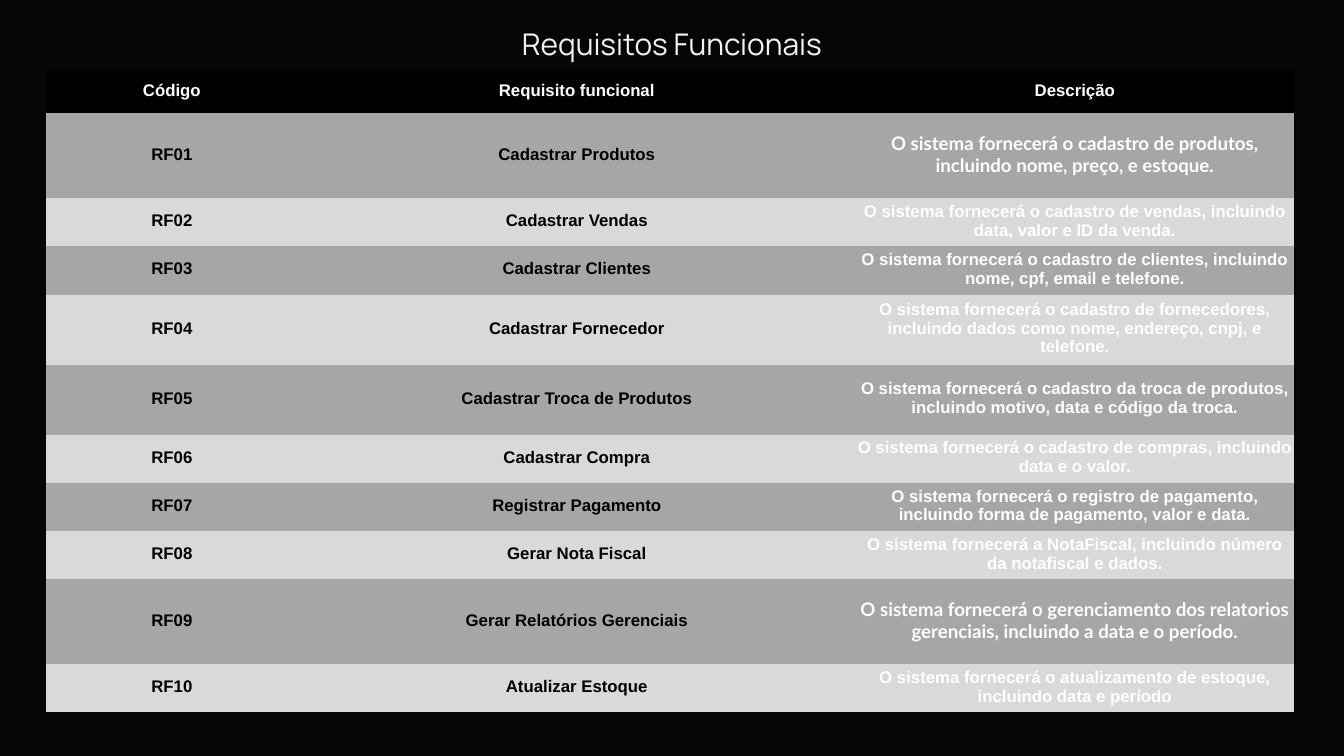
from dataclasses import dataclass
from typing import NamedTuple

from pptx import Presentation
from pptx.dml.color import RGBColor
from pptx.enum.shapes import MSO_SHAPE
from pptx.enum.text import MSO_ANCHOR, PP_ALIGN
from pptx.util import Emu, Pt

EMU_PER_PX = 9525


def px(length: int) -> Emu:
    return Emu(length * EMU_PER_PX)


class TextStyle(NamedTuple):
    font: str
    size: int
    color: str
    bold: bool = True


@dataclass(frozen=True)
class Theme:
    page: str = "000000"
    backdrop: str = "050505"
    header_fill: str = "000000"
    band_fills: tuple[str, str] = ("A6A6A6", "D9D9D9")
    title: TextStyle = TextStyle("Manrope", 32, "F2F2F3", False)
    title_leading: float = 55.6
    light: TextStyle = TextStyle("Arial", 18, "FFFFFF")
    dark: TextStyle = TextStyle("Arial", 18, "000000")
    large: TextStyle = TextStyle("Lato", 20, "FFFFFF")


THEME = Theme()


class Requirement(NamedTuple):
    name: str
    description: str
    height: int = 69
    description_style: TextStyle = THEME.light


SLIDE_WIDTH, SLIDE_HEIGHT = 1920, 1080
TABLE_LEFT, TABLE_TOP = 66, 101
COLUMN_WIDTHS = (359, 798, 625)
HEADER_HEIGHT, MEDIUM_ROW, TALL_ROW = 61, 100, 121
HEADINGS = ("Código", "Requisito funcional", "Descrição")

REQUIREMENTS = (
    Requirement("Cadastrar Produtos",
                "O sistema fornecerá o cadastro de produtos, incluindo nome, preço, e estoque.",
                TALL_ROW, THEME.large),
    Requirement("Cadastrar Vendas",
                "O sistema fornecerá o cadastro de vendas, incluindo data, valor e ID da venda."),
    Requirement("Cadastrar Clientes",
                "O sistema fornecerá o cadastro de clientes, incluindo nome, cpf, email e telefone."),
    Requirement("Cadastrar Fornecedor",
                "O sistema fornecerá o cadastro de fornecedores, incluindo dados como nome, "
                "endereço, cnpj, e telefone.", MEDIUM_ROW),
    Requirement("Cadastrar Troca de Produtos",
                "O sistema fornecerá o cadastro da troca de produtos, incluindo motivo, data e "
                "código da troca.", MEDIUM_ROW),
    Requirement("Cadastrar Compra",
                "O sistema fornecerá o cadastro de compras, incluindo data e o valor."),
    Requirement("Registrar Pagamento",
                "O sistema fornecerá o registro de pagamento, incluindo forma de pagamento, "
                "valor e data."),
    Requirement("Gerar Nota Fiscal",
                "O sistema fornecerá a NotaFiscal, incluindo número da notafiscal e dados."),
    Requirement("Gerar Relatórios Gerenciais",
                "O sistema fornecerá o gerenciamento dos relatorios gerenciais, incluindo a "
                "data e o período.", TALL_ROW, THEME.large),
    Requirement("Atualizar Estoque",
                "O sistema fornecerá o atualizamento de estoque, incluindo data e período"),
)


def paint(fill, color: str) -> None:
    fill.solid()
    fill.fore_color.rgb = RGBColor.from_string(color)


def write_centred(paragraph, text: str, style: TextStyle) -> None:
    paragraph.alignment = PP_ALIGN.CENTER
    run = paragraph.add_run()
    run.text = text
    run.font.name = style.font
    run.font.size = Pt(style.size)
    run.font.bold = style.bold
    run.font.color.rgb = RGBColor.from_string(style.color)


def draw_backdrop(slide) -> None:
    paint(slide.background.fill, THEME.page)
    backdrop = slide.shapes.add_shape(
        MSO_SHAPE.RECTANGLE, 0, 0, px(SLIDE_WIDTH), px(SLIDE_HEIGHT))
    backdrop.shadow.inherit = False
    paint(backdrop.fill, THEME.backdrop)
    backdrop.line.fill.background()


def draw_title(slide, text: str) -> None:
    title = slide.shapes.add_textbox(px(646), px(14), px(628), px(68)).text_frame
    title.word_wrap = True
    title.margin_left = title.margin_right = title.margin_top = title.margin_bottom = 0
    heading = title.paragraphs[0]
    heading.line_spacing = Pt(THEME.title_leading)
    write_centred(heading, text, THEME.title)


def fill_row(table, index: int, height: int, color: str,
             texts: tuple[str, ...], styles: tuple[TextStyle, ...]) -> None:
    table.rows[index].height = px(height)
    for cell, text, style in zip(table.rows[index].cells, texts, styles):
        paint(cell.fill, color)
        cell.vertical_anchor = MSO_ANCHOR.MIDDLE
        cell.margin_left = cell.margin_right = cell.margin_top = px(1)
        cell.margin_bottom = px(5)
        write_centred(cell.text_frame.paragraphs[0], text, style)


def draw_requirements(slide) -> None:
    height = HEADER_HEIGHT + sum(item.height for item in REQUIREMENTS)
    table = slide.shapes.add_table(
        len(REQUIREMENTS) + 1, len(HEADINGS), px(TABLE_LEFT), px(TABLE_TOP),
        px(sum(COLUMN_WIDTHS)), px(height)).table
    table.first_row = table.horz_banding = False
    # The plain, unruled table style leaves only the cell fills
    table._tbl.tblPr[0].text = "{2D5ABB26-0587-4C30-8999-92F81FD0307C}"
    for column, width in zip(table.columns, COLUMN_WIDTHS):
        column.width = px(width)

    # Header, then alternating bands
    fill_row(table, 0, HEADER_HEIGHT, THEME.header_fill, HEADINGS, (THEME.light,) * 3)
    for number, item in enumerate(REQUIREMENTS, start=1):
        fill_row(table, number, item.height, THEME.band_fills[(number - 1) % 2],
                 (f"RF{number:02}", item.name, item.description),
                 (THEME.dark, THEME.dark, item.description_style))


def main() -> None:
    presentation = Presentation()
    presentation.slide_width = px(SLIDE_WIDTH)
    presentation.slide_height = px(SLIDE_HEIGHT)
    slide = presentation.slides.add_slide(presentation.slide_layouts[6])
    draw_backdrop(slide)
    draw_title(slide, "Requisitos Funcionais")
    draw_requirements(slide)
    presentation.save("out.pptx")


if __name__ == "__main__":
    main()
